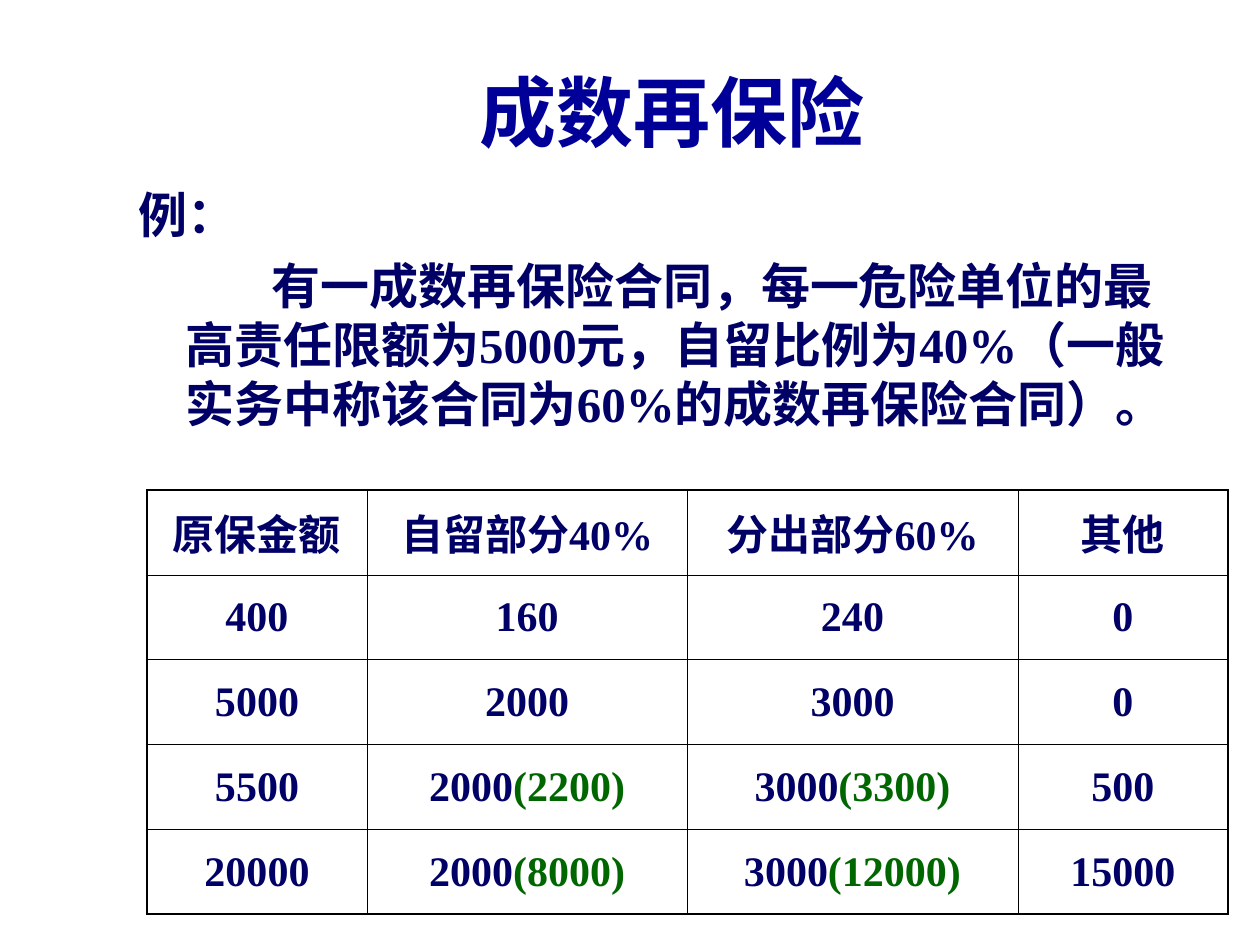
from dataclasses import dataclass

from lxml import etree
from pptx import Presentation
from pptx.dml import color as col
from pptx.enum import lang, text
from pptx.oxml import ns
from pptx.util import Cm, Pt


@dataclass(frozen=True)
class Theme:
    face: str = "Times New Roman"
    head: str = "000099"
    ink: str = "000066"
    note: str = "006600"
    rule: str = "000000"
    big: int = 44
    mid: int = 28
    small: int = 24
    thick: float = 1.08
    thin: float = 0.45


def assign(item, values):
    for name, value in values.items():
        setattr(item, name, value)


class Deck:
    def __init__(self, theme):
        self.theme = theme
        self.file = Presentation()
        assign(self.file, {"slide_width": Cm(25.4), "slide_height": Cm(19.05)})
        self.slide = self.file.slides.add_slide(self.file.slide_layouts[5])

    def label(self, para, words, size, tint):
        run = para.add_run()
        run.text = words
        assign(run.font, {
            "name": self.theme.face,
            "size": Pt(size),
            "bold": True,
            "language_id": lang.MSO_LANGUAGE_ID.SIMPLIFIED_CHINESE,
        })
        run.font.color.rgb = col.RGBColor.from_string(tint)

    def title(self, words, left, top, width, height):
        box = self.slide.shapes.title
        assign(box, {"left": Cm(left), "top": Cm(top),
                     "width": Cm(width), "height": Cm(height)})
        box.text_frame.vertical_anchor = text.MSO_ANCHOR.MIDDLE
        para = box.text_frame.paragraphs[0]
        para.alignment = text.PP_ALIGN.CENTER
        self.label(para, words, self.theme.big, self.theme.head)

    def body(self, items, left, top, width, height):
        box = self.slide.shapes.add_textbox(Cm(left), Cm(top), Cm(width), Cm(height))
        frame = box.text_frame
        frame.word_wrap = True
        for index, (words, indent) in enumerate(items):
            para = frame.add_paragraph() if index else frame.paragraphs[0]
            if index:
                para.space_before = Pt(7)
            props = para._p.get_or_add_pPr()
            props.set("marL", str(Cm(0.95)))
            props.set("indent", str(Cm(indent)))
            self.label(para, words, self.theme.mid, self.theme.ink)

    def border(self, cell, sides):
        props = cell._tc.get_or_add_tcPr()
        for place, (side, width) in enumerate(sides.items()):
            line = etree.Element(ns.qn(f"a:ln{side}"), w=str(Pt(width)))
            fill = etree.SubElement(line, ns.qn("a:solidFill"))
            etree.SubElement(fill, ns.qn("a:srgbClr"), val=self.theme.rule)
            props.insert(place, line)

    def table(self, rows, widths, left, top, step):
        look = self.theme
        deep, wide = len(rows), len(widths)
        grid = self.slide.shapes.add_table(
            deep, wide, Cm(left), Cm(top), Cm(sum(widths)), Cm(step * deep)).table
        assign(grid, {"first_row": False, "horz_banding": False})
        for column, width in zip(grid.columns, widths):
            column.width = Cm(width)
        for r, row in enumerate(rows):
            grid.rows[r].height = Cm(step)
            for c, words in enumerate(row):
                cell = grid.cell(r, c)
                cell.vertical_anchor = text.MSO_ANCHOR.MIDDLE
                cell.fill.background()
                edges = {"L": c == 0, "R": c == wide - 1,
                         "T": r == 0, "B": r == deep - 1}
                self.border(cell, {side: look.thick if outer else look.thin
                                   for side, outer in edges.items()})
                para = cell.text_frame.paragraphs[0]
                para.alignment = text.PP_ALIGN.CENTER
                main, mark, rest = words.partition("(")
                self.label(para, main, look.small, look.ink)
                if mark:
                    self.label(para, mark + rest, look.small, look.note)


def main():
    deck = Deck(Theme())
    deck.title("成数再保险", 2.33, 0.64, 22.43, 3.18)
    deck.body([
        ("例：", -0.95),
        ("有一成数再保险合同，每一危险单位的最高责任限额为5000元，自留比例为40%"
         "（一般实务中称该合同为60%的成数再保险合同）。", 1.74),
    ], 2.54, 3.6, 21.8, 12.28)
    deck.table([
        ("原保金额", "自留部分40%", "分出部分60%", "其他"),
        ("400", "160", "240", "0"),
        ("5000", "2000", "3000", "0"),
        ("5500", "2000(2200)", "3000(3300)", "500"),
        ("20000", "2000(8000)", "3000(12000)", "15000"),
    ], (4.44, 6.45, 6.67, 4.23), 2.96, 9.88, 1.71)
    deck.file.save("out.pptx")


if __name__ == "__main__":
    main()
